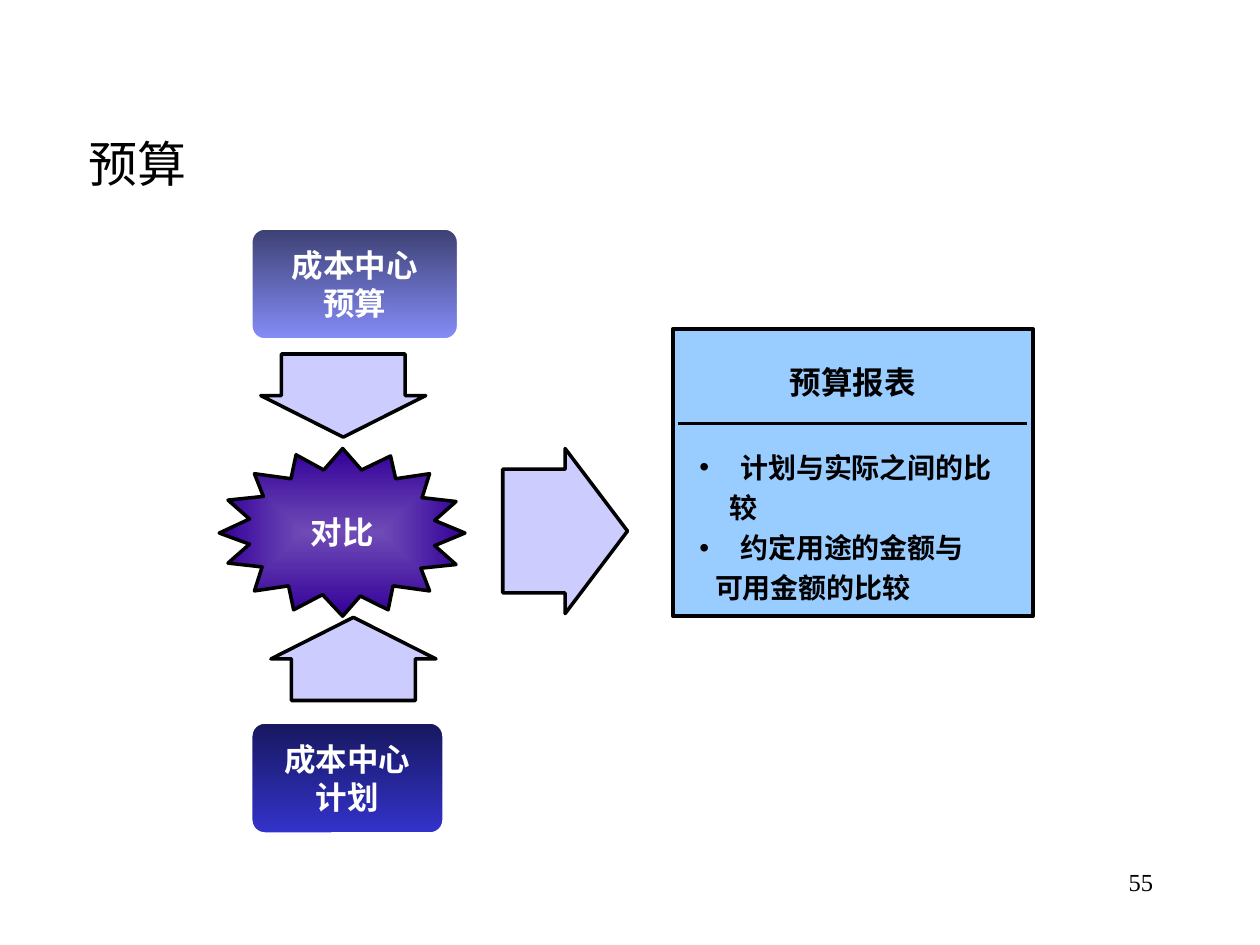
from lxml import etree
from pptx import Presentation
from pptx import util as u
from pptx.dml.color import RGBColor
from pptx.enum import shapes, text
from pptx.oxml import ns

BLACK, WHITE = "000000", "FFFFFF"
ARROW_FILL, REPORT_FILL = "CCCCFF", "99CCFF"
LEFT, CENTER, RIGHT = text.PP_ALIGN.LEFT, text.PP_ALIGN.CENTER, text.PP_ALIGN.RIGHT
TOP, MIDDLE = text.MSO_ANCHOR.TOP, text.MSO_ANCHOR.MIDDLE

# Outline of the comparison burst, outer and inner tips in turn
BURST = [
    (125.3, 304.6), (142.6, 311), (130.3, 321.8), (149.8, 324),
    (145.4, 337.7), (164.9, 334.8), (167.8, 348.5), (184.3, 339.8),
    (195.8, 352.1), (205.9, 340.6), (221.8, 348.5), (224.6, 334.8),
    (245.5, 337.7), (240.5, 324.7), (260.6, 322.6), (248.4, 311.8),
    (265.7, 304.6), (248.4, 297.4), (260.6, 286.6), (241.2, 284.4),
    (245.5, 270.7), (226.1, 273.6), (223.2, 260.6), (206.6, 268.6),
    (195.8, 256.3), (185, 268.6), (169.2, 259.9), (166.3, 273.6),
    (145.4, 270.7), (150.5, 283.7), (130.3, 285.8), (142.6, 296.6),
]


def color(hex_string):
    return RGBColor.from_string(hex_string)


def child(parent, tag, **attributes):
    return etree.SubElement(parent, ns.qn(tag), **attributes)


def write(shape, lines, size=18, font="Arial", ink=BLACK, bold=True,
          align=CENTER, anchor=MIDDLE, wrap=False, spacing=None):
    frame = shape.text_frame
    frame.auto_size = text.MSO_AUTO_SIZE.NONE
    frame.word_wrap = wrap
    frame.vertical_anchor = anchor
    for number, line in enumerate(lines):
        paragraph = frame.paragraphs[0] if number == 0 else frame.add_paragraph()
        paragraph.alignment = align
        paragraph.space_before = u.Pt(0)
        if spacing:
            paragraph.line_spacing = spacing
        run = paragraph.add_run()
        run.text = line
        run.font.size = u.Pt(size)
        run.font.name = font
        run.font.bold = bold
        run.font.color.rgb = color(ink)
    return frame


def place(shape, box):
    shape.left, shape.top, shape.width, shape.height = map(u.Pt, box)


def outline(shape, ink=BLACK):
    shape.shadow.inherit = False
    shape.line.color.rgb = color(ink)
    shape.line.width = u.Pt(2)


def gradient(shape, start, end):
    shape.fill.gradient()
    shape.fill.gradient_angle = 270
    for stop, shade in zip(shape.fill.gradient_stops, (start, end)):
        stop.color.rgb = color(shade)


def add_block(slide, kind, box, fill):
    block = slide.shapes.add_shape(kind, *map(u.Pt, box))
    block.fill.solid()
    block.fill.fore_color.rgb = color(fill)
    outline(block)
    return block


def add_source(slide, box, lines, start, end):
    source = slide.shapes.add_shape(
        shapes.MSO_SHAPE.ROUNDED_RECTANGLE, *map(u.Pt, box))
    source.adjustments[0] = 0.125
    gradient(source, start, end)
    outline(source, WHITE)
    write(source, lines, ink=WHITE)


def add_arrow(slide, kind, box):
    arrow = add_block(slide, kind, box, ARROW_FILL)
    arrow.adjustments[0], arrow.adjustments[1] = 0.75, 0.5


def add_burst(slide):
    points = [(u.Pt(x), u.Pt(y)) for x, y in BURST]
    builder = slide.shapes.build_freeform(*points[0])
    builder.add_line_segments(points[1:], close=True)
    burst = builder.convert_to_shape()
    gradient(burst, "6F4BB6", "330099")
    # Let the gradient spread from the centre
    grad = burst._element.spPr.find(ns.qn("a:gradFill"))
    grad.remove(grad.find(ns.qn("a:lin")))
    spread = child(grad, "a:path", path="rect")
    child(spread, "a:fillToRect", l="50000", t="50000", r="50000", b="50000")
    outline(burst)
    write(burst, ["对比"], ink=WHITE)


def add_rule(slide, x1, x2, y):
    rule = slide.shapes.add_connector(
        shapes.MSO_CONNECTOR.STRAIGHT, *map(u.Pt, (x1, y, x2, y)))
    rule.line.color.rgb = color(BLACK)
    rule.line.width = u.Pt(2)
    child(rule._element.spPr, "a:effectLst")


def add_label(slide, box, line, **style):
    write(slide.shapes.add_textbox(*map(u.Pt, box)), [line], **style)


def fill_findings(slide, findings):
    # Bring the list in front of the report panel
    slide.shapes._spTree.append(findings._element)
    place(findings, (392.4, 249.8, 186.5, 92))
    frame = write(
        findings, ["\t计划与实际之间的比较", "\t约定用途的金额与", "可用金额的比较"],
        size=16, align=LEFT, anchor=TOP, wrap=True, spacing=1.2)
    *bulleted, continuation = [p._p.get_or_add_pPr() for p in frame.paragraphs]
    for properties in bulleted:
        properties.set("marL", str(u.Pt(17)))
        properties.set("indent", str(u.Pt(-17)))
        child(properties, "a:buFont", typeface="Arial")
        child(properties, "a:buChar", char="•")
        tabs = child(properties, "a:tabLst")
        child(tabs, "a:tab", pos=str(u.Pt(23.5)), algn="l")
    continuation.set("marL", str(u.Pt(9)))
    continuation.set("indent", "0")
    child(continuation, "a:buNone")


def main():
    deck = Presentation()
    deck.slide_width, deck.slide_height = u.Pt(720), u.Pt(540)
    slide = deck.slides.add_slide(deck.slide_layouts[1])
    title, findings = slide.placeholders
    preset = shapes.MSO_SHAPE

    # Title
    place(title, (43.2, 56.9, 105.8, 72.7))
    write(title, ["预算"], size=28, font="Times New Roman", bold=False,
          align=LEFT, wrap=True)

    # Plan and budget meet in the comparison
    add_source(slide, (143.3, 412.6, 110.5, 64), ["成本中心", "计划"],
               "17175E", "3333CC")
    add_burst(slide)
    add_source(slide, (143.3, 130.3, 118.8, 64), ["成本中心", "预算"],
               "3D4072", "858DF9")
    add_arrow(slide, preset.UP_ARROW, (154.8, 352.8, 94.3, 47.5))
    add_arrow(slide, preset.DOWN_ARROW, (149, 202.3, 94.3, 47.5))
    add_arrow(slide, preset.RIGHT_ARROW, (287.3, 256.3, 71.3, 94.3))

    # Budget report
    add_block(slide, preset.RECTANGLE, (384.5, 187.9, 205.9, 164.2), REPORT_FILL)
    add_rule(slide, 387.4, 586.8, 241.9)
    add_label(slide, (444.2, 203.8, 86.4, 28.8), "预算报表", anchor=TOP)
    fill_findings(slide, findings)

    # Page number
    add_label(slide, (516.2, 491.8, 149.8, 36), "55", size=14,
              font="Times New Roman", bold=False, align=RIGHT, anchor=TOP,
              wrap=True)

    deck.save("out.pptx")


if __name__ == "__main__":
    main()
